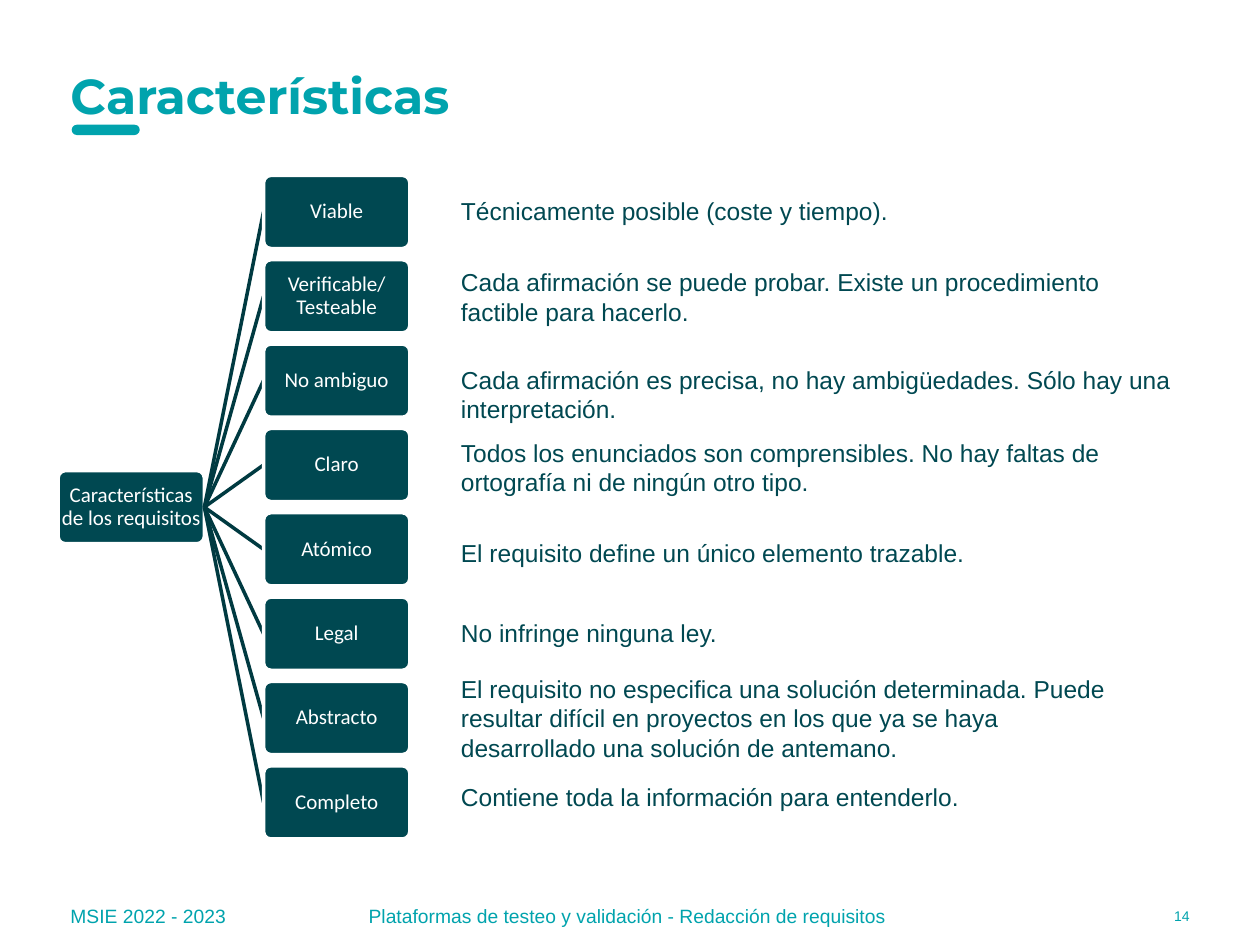
from pptx import Presentation
from pptx.dml.color import RGBColor
from pptx.enum.shapes import MSO_CONNECTOR, MSO_SHAPE
from pptx.enum.text import MSO_ANCHOR, PP_ALIGN
from pptx.oxml.ns import qn
from pptx.util import Pt
from lxml import etree

LEFT, MID, RIGHT = PP_ALIGN.LEFT, PP_ALIGN.CENTER, PP_ALIGN.RIGHT
TOP, CENTER = MSO_ANCHOR.TOP, MSO_ANCHOR.MIDDLE
ROUND, STRAIGHT = MSO_SHAPE.ROUNDED_RECTANGLE, MSO_CONNECTOR.STRAIGHT

HUES = {"teal": "00A3AD", "dark": "004851", "link": "003A41", "white": "FFFFFF"}

# Content
TITLE = "Características"
ROOT = "Características de los requisitos"
# name, description, top, width and height of the description
TRAITS = [
    ("Viable", "Técnicamente posible (coste y tiempo).", 108.7, 402, 24.2),
    ("Verificable/Testeable",
     "Cada afirmación se puede probar. Existe un procedimiento factible para hacerlo.",
     149.2, 402, 41.2),
    ("No ambiguo",
     "Cada afirmación es precisa, no hay ambigüedades. Sólo hay una interpretación.",
     205, 463.7, 41.2),
    ("Claro",
     "Todos los enunciados son comprensibles. No hay faltas de ortografía ni de ningún otro tipo.",
     246.7, 402, 41.2),
    ("Atómico", "El requisito define un único elemento trazable.", 304, 402, 24.2),
    ("Legal", "No infringe ninguna ley.", 349.7, 402, 24.2),
    ("Abstracto",
     "El requisito no especifica una solución determinada. Puede resultar difícil en "
     "proyectos en los que ya se haya desarrollado una solución de antemano.",
     381.6, 402, 58.2),
    ("Completo", "Contiene toda la información para entenderlo.", 443.5, 402, 24.2),
]
# text, left, width, size, alignment
FOOTER = [
    ("MSIE 2022 - 2023", 33.2, 111, 11, LEFT),
    ("Plataformas de testeo y validación - Redacción de requisitos", 170.6, 376, 11, MID),
    ("14", 599, 88, 8, RIGHT),
]

# Tree layout
BOX_W, BOX_H, STEP = 83.6, 41.8, 48.2
ROOT_X, KID_X, KID_Y = 33.2, 150.6, 100.2
NOTE_X = 256.3

deck = Presentation()
deck.slide_width, deck.slide_height = Pt(720), Pt(540)
slide = deck.slides.add_slide(deck.slide_layouts[6])
shapes = slide.shapes


def hue(name):
    return RGBColor.from_string(HUES[name])


def write(shape, text, size, face, color, align=LEFT, anchor=TOP):
    frame = shape.text_frame
    frame.word_wrap = True
    frame.vertical_anchor = anchor
    para = frame.paragraphs[0]
    para.text, para.alignment = text, align
    para.font.size, para.font.name = Pt(size), face
    para.font.color.rgb = hue(color)
    return para


def label(x, y, w, h, *style):
    return write(shapes.add_textbox(Pt(x), Pt(y), Pt(w), Pt(h)), *style)


def block(x, y, w, h, bend, color):
    shape = shapes.add_shape(ROUND, Pt(x), Pt(y), Pt(w), Pt(h))
    shape.adjustments[0] = bend
    shape.shadow.inherit = False
    shape.fill.solid()
    shape.fill.fore_color.rgb = hue(color)
    shape.line.fill.background()
    return shape


def node(x, y, text):
    shape = block(x, y, BOX_W, BOX_H, 0.1, "dark")
    shape.line.color.rgb = hue("white")
    shape.line.width = Pt(2)
    frame = shape.text_frame
    frame.margin_left = frame.margin_right = Pt(0.6)
    frame.margin_top = frame.margin_bottom = Pt(0.6)
    write(shape, text, 12, "Calibri", "white", MID, CENTER).line_spacing = 0.9
    return shape


def join(start, end):
    line = shapes.add_connector(STRAIGHT, 0, 0, 0, 0)
    line.begin_connect(start, 3)
    line.end_connect(end, 1)
    line.line.color.rgb = hue("link")
    line.line.width = Pt(2)
    etree.SubElement(line._element.spPr, qn("a:effectLst"))
    return line


# Title with its underline
block(41, 71.3, 38.9, 5.9, 0.5, "teal")
label(33.2, 37.4, 603.4, 33.8, TITLE, 28, "Montserrat", "teal", LEFT, CENTER).font.bold = True

# Footer
for text, x, w, size, align in FOOTER:
    label(x, 509, w, 28.8, text, size, "Arial", "teal", align, CENTER)

# Tree and descriptions
root = node(ROOT_X, KID_Y + STEP * (len(TRAITS) - 1) / 2, ROOT)
for i, (name, note, y, w, h) in enumerate(TRAITS):
    kid = node(KID_X, KID_Y + i * STEP, name)
    line = join(root, kid)
    kid._element.addprevious(line._element)  # the box covers the line end
    label(NOTE_X, y, w, h, note, 14, "Arial", "dark")

deck.save("out.pptx")
